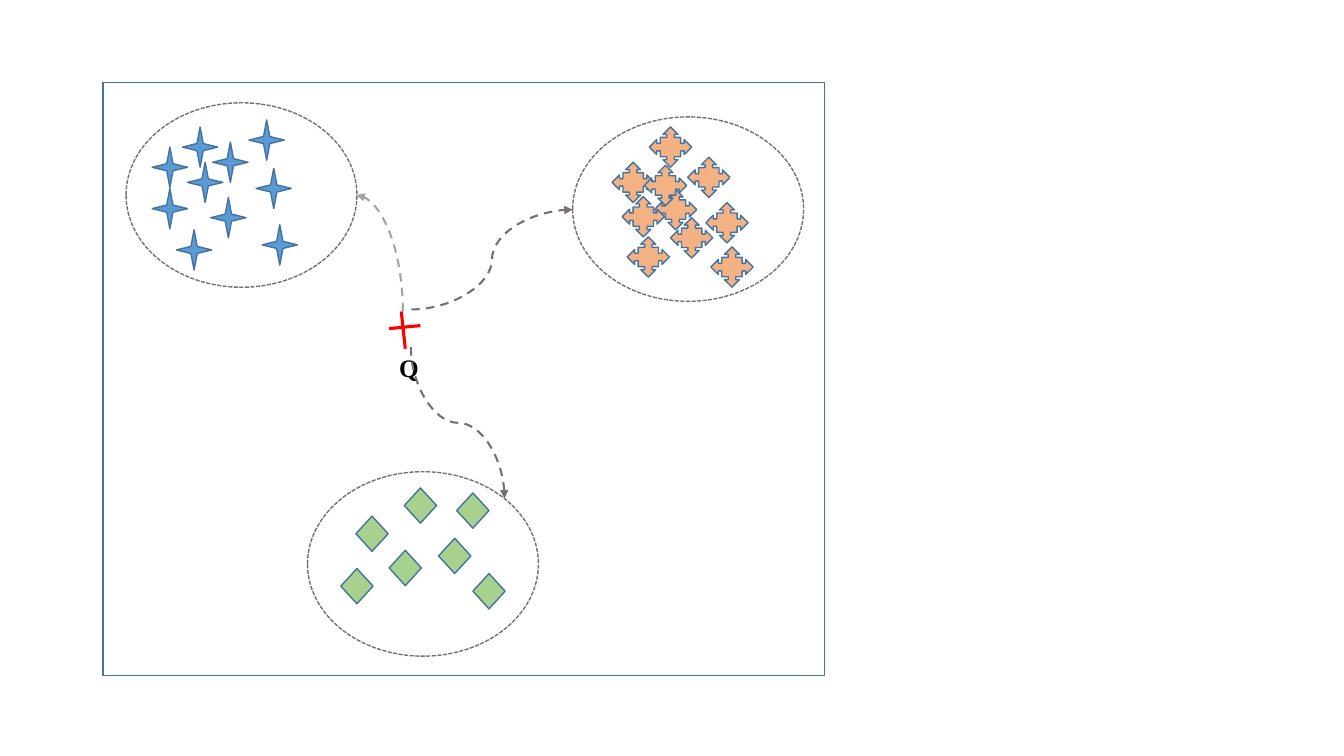
import pptx
import pptx.util
import pptx.dml.color
import pptx.enum.dml
import pptx.enum.shapes
import pptx.enum.text
import pptx.oxml.ns
import lxml.etree

Inches = pptx.util.Inches
Pt = pptx.util.Pt
SHAPE = pptx.enum.shapes.MSO_SHAPE
CONNECTOR = pptx.enum.shapes.MSO_CONNECTOR
DASH = pptx.enum.dml.MSO_LINE
qn = pptx.oxml.ns.qn

deck = pptx.Presentation()
deck.slide_width, deck.slide_height = Inches(13.33), Inches(7.5)
slide = deck.slides.add_slide(deck.slide_layouts[6])


def color(hex_value):
    return pptx.dml.color.RGBColor.from_string(hex_value)


def add_outlined(kind, left, top, width, height, line, fill=None):
    shape = slide.shapes.add_shape(
        kind, Inches(left), Inches(top), Inches(width), Inches(height))
    shape.shadow.inherit = False
    if fill:
        shape.fill.solid()
        shape.fill.fore_color.rgb = color(fill)
    else:
        shape.fill.background()
    shape.line.color.rgb = color(line)
    shape.line.width = Pt(1)
    return shape


# Frame of the feature space
add_outlined(SHAPE.RECTANGLE, 1.02, 0.82, 7.16, 5.88, "43739E")

# Members of the three clusters: marker, size, fill, top-left corners
clusters = [
    (SHAPE.STAR_4_POINT, 0.35, 0.4, "5B9BD5",
     [(1.81, 1.26), (1.51, 1.46), (1.86, 1.61), (2.11, 1.41), (1.51, 1.87),
      (2.09, 1.96), (2.54, 1.67), (2.47, 1.19), (1.75, 2.28), (2.6, 2.23)]),
    (SHAPE.DIAMOND, 0.32, 0.35, "A9D18E",
     [(3.53, 5.12), (4.01, 4.84), (3.86, 5.46), (4.35, 5.34), (3.38, 5.64),
      (4.53, 4.89), (4.69, 5.69)]),
    (SHAPE.QUAD_ARROW_CALLOUT, 0.42, 0.4, "F4B183",
     [(6.07, 1.61), (6.82, 1.56), (6.49, 1.88), (6.44, 1.26), (6.39, 1.64),
      (7, 2.01), (6.17, 1.95), (6.65, 2.16), (6.22, 2.35), (7.05, 2.45)]),
]
for marker, width, height, fill, members in clusters:
    for left, top in members:
        add_outlined(marker, left, top, width, height, "43739E", fill)

# Query label
query_label = slide.shapes.add_textbox(
    Inches(3.86), Inches(3.45), Inches(1.48), Inches(0.4))
query_label.text_frame.word_wrap = True
query_label.text_frame.auto_size = pptx.enum.text.MSO_AUTO_SIZE.SHAPE_TO_FIT_TEXT
query = query_label.text_frame.paragraphs[0].add_run()
query.text = "Q"
query.font.name = "Times New Roman"
query.font.size = Pt(18)
query.font.bold = True
query.font.color.rgb = color("000000")

# Query cross, then arrows to the clusters (ends given before rotation)
links = [
    ("line", (3.86, 3.26), (4.17, 3.23), 0, "FF0000"),
    ("line", (3.98, 3.09), (4.02, 3.46), 0, "FF0000"),
    ("curvedConnector2", (3.19, 2.74), (4.34, 2.28), 270, "A5A5A5"),
    ("curvedConnector3", (4.08, 3.07), (5.68, 2.08), 0, "767171"),
    ("curvedConnector3", (5.29, 3.73), (3.79, 4.66), 270, "767171"),
]
for preset, start, end, rotation, line_color in links:
    is_arrow = preset != "line"
    link = slide.shapes.add_connector(
        CONNECTOR.CURVE if is_arrow else CONNECTOR.STRAIGHT,
        *[Inches(value) for value in start + end])
    link.line.color.rgb = color(line_color)
    link.line.width = Pt(1.5 if is_arrow else 2.25)
    properties = link._element.spPr
    properties.find(qn("a:prstGeom")).set("prst", preset)
    if rotation:
        properties.find(qn("a:xfrm")).set("rot", str(rotation * 60000))
    if is_arrow:
        link.line.dash_style = DASH.DASH
        lxml.etree.SubElement(
            properties.find(qn("a:ln")), qn("a:tailEnd"), type="triangle")
    lxml.etree.SubElement(properties, qn("a:effectLst"))

# Cluster boundaries
for left, top in [(1.25, 1.02), (5.68, 1.16), (3.05, 4.68)]:
    boundary = add_outlined(SHAPE.OVAL, left, top, 2.29, 1.83, "767171")
    boundary.line.dash_style = DASH.SQUARE_DOT

deck.save("out.pptx")
